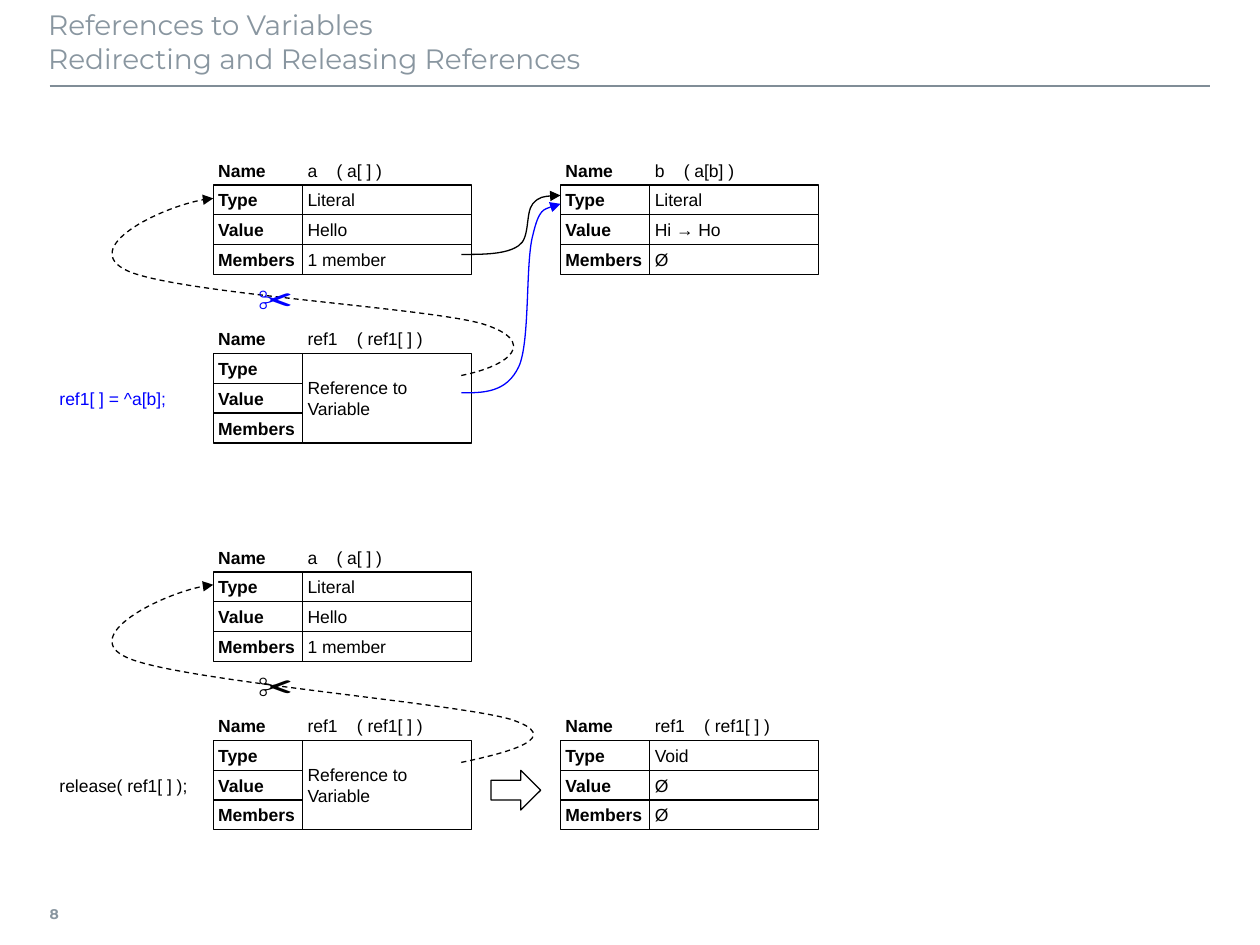
from lxml import etree
from pptx import Presentation
from pptx.dml.color import RGBColor
from pptx.enum.dml import MSO_LINE
from pptx.enum.shapes import MSO_CONNECTOR, MSO_SHAPE
from pptx.enum.text import MSO_ANCHOR, MSO_AUTO_SIZE, PP_ALIGN
from pptx.oxml.ns import qn
from pptx.util import Cm, Pt

RECT, ARROW = MSO_SHAPE.RECTANGLE, MSO_SHAPE.RIGHT_ARROW
STRAIGHT, DASH = MSO_CONNECTOR.STRAIGHT, MSO_LINE.DASH
LEFT, TOP, MIDDLE = PP_ALIGN.LEFT, MSO_ANCHOR.TOP, MSO_ANCHOR.MIDDLE
NO_FIT = MSO_AUTO_SIZE.NONE

BLACK = RGBColor(0x00, 0x00, 0x00)
BLUE = RGBColor(0x00, 0x00, 0xFF)
GREY = RGBColor(0x89, 0x96, 0xA0)
RULE_GREY = RGBColor(0x80, 0x8D, 0x97)

# Content (all lengths in cm)
TITLE = ["References to Variables", "Redirecting and Releasing References"]
PAGE = "8"
LABELS = ["Type", "Value", "Members"]
REFERENCE = ["Reference to", "Variable"]  # one cell over all three rows
COL_1, COL_2 = 4.3, 11.3
ROW_H, LABEL_W, VALUE_W = 0.6, 1.8, 3.4

# Variable boxes: left, top, name, one value per row or a merged cell
VARIABLES = [
    (COL_1, 3.13, "a    ( a[ ] )", ["Literal", "Hello", "1 member"]),
    (COL_1, 6.53, "ref1    ( ref1[ ] )", REFERENCE),
    (COL_2, 3.13, "b    ( a[b] )", ["Literal", "Hi → Ho", "Ø"]),
    (COL_1, 10.93, "a    ( a[ ] )", ["Literal", "Hello", "1 member"]),
    (COL_1, 14.33, "ref1    ( ref1[ ] )", REFERENCE),
    (COL_2, 14.33, "ref1    ( ref1[ ] )", ["Void", "Ø", "Ø"]),
]

# Free text: left, top, width, text, size, colour
NOTES = [
    (1.1, 7.73, 2.4, "ref1[ ] = ^a[b];", 10, BLUE),
    (1.1, 15.53, 2.4, "release( ref1[ ] );", 10, BLACK),
    (5.1, 5.71, 1, "✂", 20, BLUE),
    (5.1, 13.51, 1, "✂", 20, BLACK),
]

# Bezier curves: colour, dashed, start point followed by three points a segment
CURVES = [
    (BLACK, True, [(9.3, 7.57), (10.31, 7.37), (10.85, 6.88), (9.73, 6.53),
                   (8.61, 6.2), (3.58, 5.92), (2.57, 5.46),
                   (1.57, 5), (3.45, 4.06), (4.3, 4)]),
    (BLACK, False, [(9.3, 5.13), (9.75, 5.13), (10.21, 5.13), (10.46, 4.95),
                    (10.69, 4.8), (10.59, 4.29), (10.74, 4.11),
                    (10.87, 3.96), (11.1, 3.94), (11.3, 3.94)]),
    (BLUE, False, [(9.3, 7.92), (9.75, 7.92), (10.21, 7.92), (10.46, 7.39),
                   (10.69, 6.88), (10.59, 5.31), (10.74, 4.75),
                   (10.87, 4.19), (11.1, 4.17), (11.3, 4.11)]),
    (BLACK, True, [(9.3, 15.37), (10.31, 15.16), (11.4, 14.86), (10.29, 14.5),
                   (9.17, 14.17), (3.58, 13.72), (2.57, 13.26),
                   (1.57, 12.83), (3.45, 11.86), (4.3, 11.79)]),
]


def add_run(p, text, size, color, font="Arial", bold=False):
    r = p.add_run()
    r.text = text
    r.font.size, r.font.name, r.font.bold = Pt(size), font, bold
    r.font.color.rgb = color


def set_frame(tf, anchor, insets, wrap=False):
    tf.word_wrap, tf.auto_size, tf.vertical_anchor = wrap, NO_FIT, anchor
    tf.margin_left, tf.margin_top, tf.margin_right, tf.margin_bottom = map(Cm, insets)


def outline(sp, color=BLACK):
    sp.shadow.inherit = False
    sp.fill.background()
    sp.line.color.rgb = color
    sp.line.width = Pt(0.75)


def add_text(slide, box, lines, size=10, color=BLACK, bold=False, framed=False):
    box = [Cm(v) for v in box]
    if framed:
        sp = slide.shapes.add_shape(RECT, *box)
        outline(sp)
    else:
        sp = slide.shapes.add_textbox(*box)
    tf = sp.text_frame
    set_frame(tf, MIDDLE, [0.1] * 4)
    for i, line in enumerate(lines):
        p = tf.add_paragraph() if i else tf.paragraphs[0]
        p.alignment = LEFT
        add_run(p, line, size, color, bold=bold)


def add_variable(slide, left, top, name, values):
    value_left = left + LABEL_W
    add_text(slide, (left, top, LABEL_W, ROW_H), ["Name"], bold=True)
    add_text(slide, (value_left, top, VALUE_W, ROW_H), [name])
    for i, label in enumerate(LABELS, 1):
        y = top + i * ROW_H
        add_text(slide, (left, y, LABEL_W, ROW_H), [label], bold=True, framed=True)
        if values is not REFERENCE:
            add_text(slide, (value_left, y, VALUE_W, ROW_H), [values[i - 1]], framed=True)
    if values is REFERENCE:
        add_text(slide, (value_left, top + ROW_H, VALUE_W, 3 * ROW_H), values, framed=True)


def bezier(a, b, c, d, t):
    u = 1 - t
    return tuple(round(u**3 * w + 3 * u * u * t * x + 3 * u * t * t * y + t**3 * z)
                 for w, x, y, z in zip(a, b, c, d))


def add_curve(slide, color, dashed, points):
    pts = [(Cm(x), Cm(y)) for x, y in points]
    # Points along the curve give the freeform its true extent
    track = [bezier(*pts[i:i + 4], k / 40)
             for i in range(0, len(pts) - 1, 3) for k in range(1, 41)]
    builder = slide.shapes.build_freeform(*pts[0], scale=1.0)
    builder.add_line_segments(track, close=False)
    sp = builder.convert_to_shape()
    outline(sp, color)
    if dashed:
        sp.line.dash_style = DASH
    # Replace the line segments by smooth Bezier segments
    geometry = next(sp.element.iter(qn("a:path")))
    for segment in geometry.findall(qn("a:lnTo")):
        geometry.remove(segment)
    for i in range(1, len(pts), 3):
        segment = etree.SubElement(geometry, qn("a:cubicBezTo"))
        for x, y in pts[i:i + 3]:
            etree.SubElement(segment, qn("a:pt"), x=str(x - sp.left), y=str(y - sp.top))
    etree.SubElement(sp.line._get_or_add_ln(), qn("a:tailEnd"), type="triangle")


def main():
    prs = Presentation()
    prs.slide_width, prs.slide_height = Cm(25.4), Cm(19.05)
    slide = prs.slides.add_slide(prs.slide_layouts[5])

    # Title, rule and page number
    title = slide.shapes.title
    title.left, title.top, title.width, title.height = Cm(0.97), Cm(0.03), Cm(23.4), Cm(1.6)
    set_frame(title.text_frame, TOP, (0, 0.13, 0.25, 0.13), wrap=True)
    p = title.text_frame.paragraphs[0]
    p.alignment = LEFT
    for i, line in enumerate(TITLE):
        if i:
            p.add_line_break()
        add_run(p, line, 16, GREY, "Montserrat")

    rule = slide.shapes.add_connector(STRAIGHT, Cm(1), Cm(1.73), Cm(24.4), Cm(1.73))
    rule.line.color.rgb = RULE_GREY
    rule.line.width = Pt(1)
    etree.SubElement(rule.element.spPr, qn("a:effectLst"))

    number = slide.shapes.add_textbox(Cm(1), Cm(17.93), Cm(0.9), Cm(1))
    set_frame(number.text_frame, MIDDLE, (0, 0.13, 0.2, 0.13))
    add_run(number.text_frame.paragraphs[0], PAGE, 8, GREY, "Montserrat", True)

    # Variables, references and notes
    for variable in VARIABLES:
        add_variable(slide, *variable)
    for curve in CURVES:
        add_curve(slide, *curve)
    for left, top, width, text, size, color in NOTES:
        add_text(slide, (left, top, width, ROW_H), [text], size, color)

    # Arrow to the released state
    outline(slide.shapes.add_shape(ARROW, Cm(9.9), Cm(15.53), Cm(1), Cm(0.8)))

    prs.save("out.pptx")


if __name__ == "__main__":
    main()
